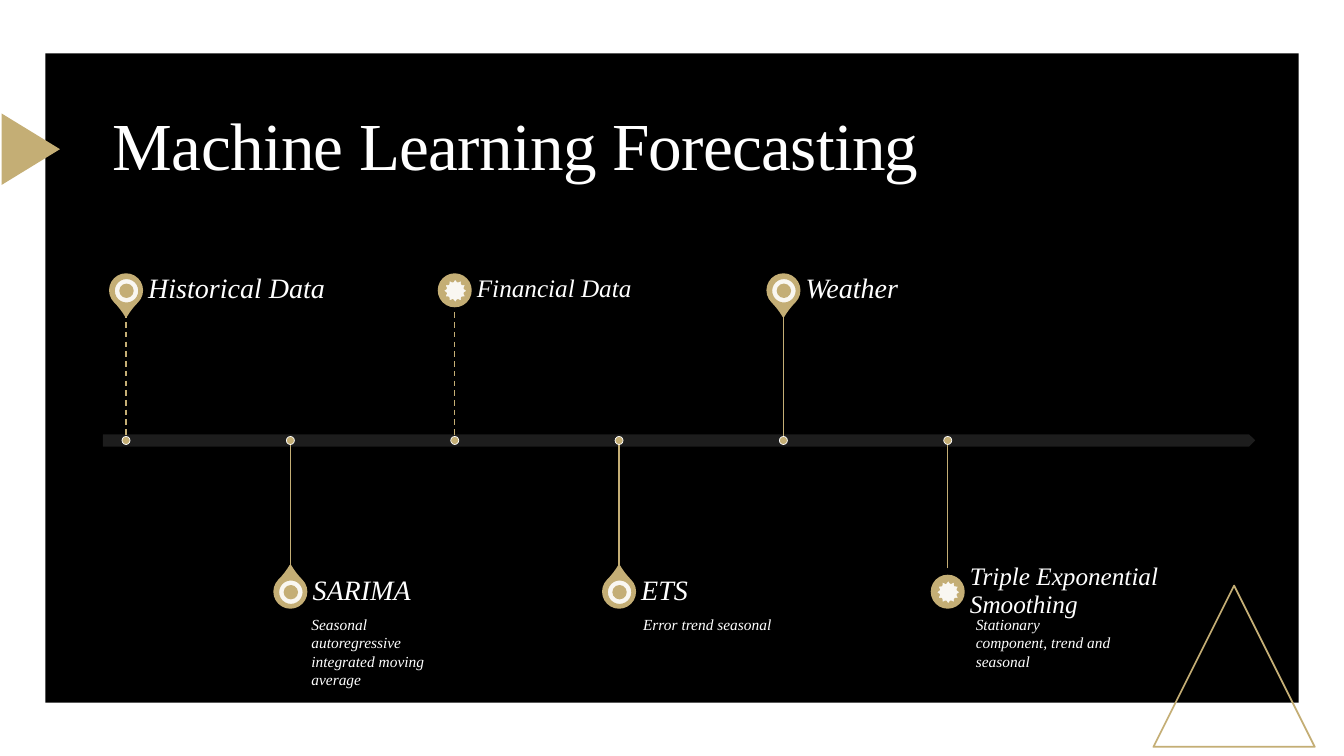
import lxml.etree
import pptx
import pptx.util
import pptx.dml.color
import pptx.enum.dml
import pptx.enum.shapes
import pptx.enum.text
import pptx.oxml.ns

Inches = pptx.util.Inches
Pt = pptx.util.Pt
Kind = pptx.enum.shapes.MSO_SHAPE
Dash = pptx.enum.dml.MSO_LINE
Anchor = pptx.enum.text.MSO_ANCHOR
qn = pptx.oxml.ns.qn

GOLD = "C4AE75"
WHITE = "FFFFFF"


def paint(fill, color, alpha=100):
    fill.solid()
    fill.fore_color.rgb = pptx.dml.color.RGBColor.from_string(color)
    if alpha < 100:
        node = fill._xPr.find(qn("a:solidFill"))[0]
        lxml.etree.SubElement(node, qn("a:alpha")).set("val", str(alpha * 1000))


def draw(kind, box, color=None, edge=None, width=0, alpha=100, turn=0):
    shape = slide.shapes.add_shape(kind, *map(Inches, box))
    shape.shadow.inherit = False
    shape.rotation = turn
    if color:
        paint(shape.fill, color, alpha)
    else:
        shape.fill.background()
    if edge:
        paint(shape.line.fill, edge)
        shape.line.width = Pt(width)
    else:
        shape.line.fill.background()
    return shape


deck = pptx.Presentation()
deck.slide_width = Inches(13.33)
deck.slide_height = Inches(7.5)
slide = deck.slides.add_slide(deck.slide_layouts[5])

draw(Kind.RECTANGLE, (0.45, 0.53, 12.43, 6.44), "000000")
draw(Kind.ISOSCELES_TRIANGLE, (11.44, 5.81, 1.6, 1.6), None, GOLD, 1.25)
draw(Kind.ISOSCELES_TRIANGLE, (-0.05, 1.19, 0.71, 0.58), GOLD, turn=90)
draw(Kind.PENTAGON, (1.02, 4.31, 11.43, 0.12), "212121", alpha=90)

stops = [
    ("Historical Data", "drop", Dash.DASH),
    ("SARIMA", "drop", Dash.SOLID),
    ("Financial Data", "star", Dash.DASH),
    ("ETS", "drop", Dash.SOLID),
    ("Weather", "drop", Dash.SOLID),
    ("Triple Exponential Smoothing", "star", Dash.SOLID),
]
pins = {
    "drop": (Kind.TEAR, Kind.DONUT, 20, 0.14),
    "star": (Kind.OVAL, Kind.STAR_12_POINT, 18, 0.12),
}
axis = 4.37
texts = []

for i, (name, pin, dash) in enumerate(stops):
    x = 1.25 + 1.63 * i
    y, end, turn = (5.87, 5.64, 315) if i % 2 else (2.88, 3.1, 135)
    outer, inner, size, inset = pins[pin]
    head = draw(outer, (x - 0.16, y - 0.16, 0.32, 0.32), GOLD, GOLD, 1.25, turn=turn)
    if pin == "drop":
        head.adjustments[0] = 1.15
    draw(inner, (x - 0.12, y - 0.12, 0.25, 0.25), WHITE, GOLD, 1.25, alpha=90)
    stem = slide.shapes.add_connector(
        pptx.enum.shapes.MSO_CONNECTOR.STRAIGHT,
        Inches(x), Inches(end), Inches(x), Inches(axis))
    paint(stem.line.fill, GOLD)
    for key, value in {"width": Pt(1), "dash_style": dash}.items():
        setattr(stem.line, key, value)
    lxml.etree.SubElement(stem._element.spPr, qn("a:effectLst"))
    draw(Kind.OVAL, (x - 0.04, axis - 0.04, 0.08, 0.08), GOLD, WHITE, 0.5)
    texts.append((None, name, (x + 0.22, y - 0.23, 2.71, 0.45), size, True,
                  Anchor.MIDDLE, (0, 0, inset, 0), 0.9))

pad = (0.1, 0.05, 0.1, 0.05)
notes = [
    ("Seasonal autoregressive integrated moving average", 2.99, 0.47),
    ("Error trend seasonal", 6.28, 0.29),
    ("Stationary component, trend and seasonal", 9.58, 0.47),
]
for note, x, tall in notes:
    texts.append((None, note, (x, 6.05, 1.57, tall), 11, True, Anchor.TOP, pad, 1.0))

title = slide.shapes.title
title._element.getparent().append(title._element)
texts.append((title, "Machine Learning Forecasting", (1.02, 0.98, 11.43, 1), 48,
              False, Anchor.MIDDLE, pad, 0.9))

for box, words, place, size, slant, anchor, inset, lead in texts:
    spot = [Inches(v) for v in place]
    box = box or slide.shapes.add_textbox(*spot)
    left, top, right, base = map(Inches, inset)
    frame = box.text_frame
    frame.text = words
    para = frame.paragraphs[0]
    font = para.runs[0].font
    formats = [
        (box, dict(zip(("left", "top", "width", "height"), spot))),
        (frame, {"word_wrap": True, "vertical_anchor": anchor,
                 "auto_size": pptx.enum.text.MSO_AUTO_SIZE.NONE,
                 "margin_left": left, "margin_top": top,
                 "margin_right": right, "margin_bottom": base}),
        (para, {"alignment": pptx.enum.text.PP_ALIGN.LEFT, "line_spacing": lead}),
        (font, {"name": "Times New Roman", "size": Pt(size), "italic": slant}),
    ]
    for part, looks in formats:
        for key, value in looks.items():
            setattr(part, key, value)
    paint(font.fill, WHITE)

title.text_frame.paragraphs[0].runs[0].font._element.set("spc", "-50")

deck.save("out.pptx")
